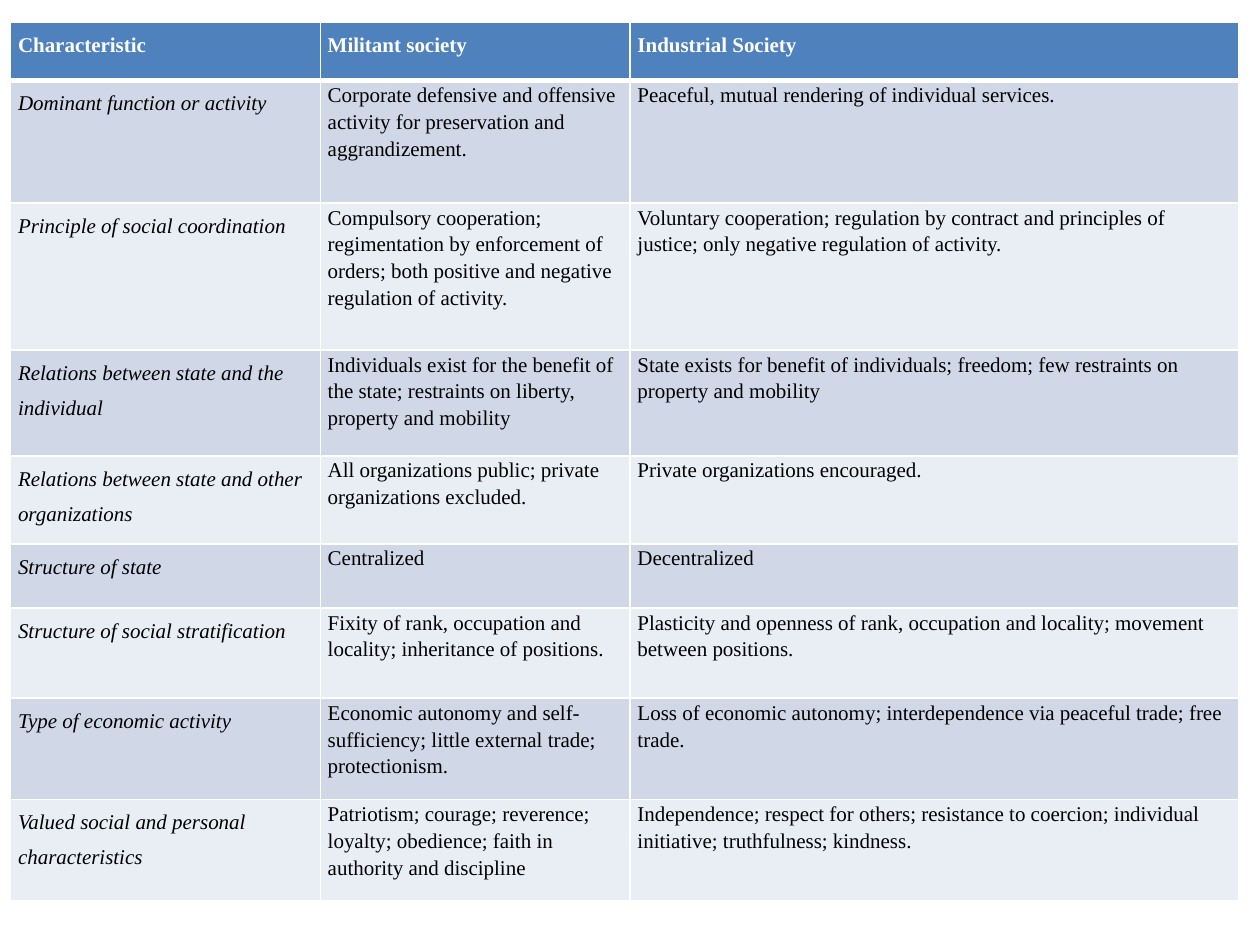
from dataclasses import dataclass

from lxml import etree
from pptx import Presentation
from pptx.dml.color import RGBColor
from pptx.oxml.ns import qn
from pptx.util import Pt

HEADER = ("Characteristic", "Militant society", "Industrial Society")
ROWS = [
    ("Dominant function or activity",
     "Corporate defensive and offensive activity for preservation and aggrandizement.",
     "Peaceful, mutual rendering of individual services."),
    ("Principle of social coordination",
     "Compulsory cooperation; regimentation by enforcement of orders; "
     "both positive and negative regulation of activity.",
     "Voluntary cooperation; regulation by contract and principles of justice; "
     "only negative regulation of activity."),
    ("Relations between state and the individual",
     "Individuals exist for the benefit of the state; restraints on liberty, property and mobility",
     "State exists for benefit of individuals; freedom; few restraints on property and mobility"),
    ("Relations between state and other organizations",
     "All organizations public; private organizations excluded.",
     "Private organizations encouraged."),
    ("Structure of state", "Centralized", "Decentralized"),
    ("Structure of social stratification",
     "Fixity of rank, occupation and locality; inheritance of positions.",
     "Plasticity and openness of rank, occupation and locality; movement between positions."),
    ("Type of economic activity",
     "Economic autonomy and self-sufficiency; little external trade; protectionism.",
     "Loss of economic autonomy; interdependence via peaceful trade; free trade."),
    ("Valued social and personal characteristics",
     "Patriotism; courage; reverence; loyalty; obedience; faith in authority and discipline",
     "Independence; respect for others; resistance to coercion; individual initiative; "
     "truthfulness; kindness."),
]
LEFT, TOP = 6, 12.5
COLUMN_WIDTHS = (177, 177, 348)
ROW_HEIGHTS = (33.5, 70, 84, 60.5, 50.3, 36.6, 51.6, 58, 58)


@dataclass(frozen=True)
class Theme:
    font: str = "Times New Roman"
    size: float = 12
    header_fill: str = "4F81BD"
    bands: tuple = ("D0D8E8", "E9EDF4")
    header_text: str = "FFFFFF"
    body_text: str = "000000"
    border: str = "FFFFFF"
    border_width: float = 1
    header_rule: float = 3
    side_margin: float = 4.3
    label_spacing: float = 1.5
    body_spacing: float = 1.15
    space_after: float = 10


THEME = Theme()


def set_borders(cell, bottom_width):
    """Put the four border lines ahead of the cell's fill, as the schema requires."""
    properties = cell._tc.get_or_add_tcPr()
    widths = {"a:lnL": THEME.border_width, "a:lnR": THEME.border_width,
              "a:lnT": THEME.border_width, "a:lnB": bottom_width}
    for position, (tag, width) in enumerate(widths.items()):
        line = etree.Element(qn(tag), w=str(Pt(width)))
        fill = etree.SubElement(line, qn("a:solidFill"))
        etree.SubElement(fill, qn("a:srgbClr"), val=THEME.border)
        properties.insert(position, line)


def fill_cell(cell, content, row, column):
    is_header, is_label = row == 0, column == 0
    fill_color = THEME.header_fill if is_header else THEME.bands[(row - 1) % 2]
    cell.fill.solid()
    cell.fill.fore_color.rgb = RGBColor.from_string(fill_color)
    cell.margin_left = cell.margin_right = Pt(THEME.side_margin)
    cell.margin_top = cell.margin_bottom = 0
    set_borders(cell, THEME.header_rule if is_header else THEME.border_width)

    paragraph = cell.text_frame.paragraphs[0]
    paragraph.line_spacing = THEME.label_spacing if is_header or is_label else THEME.body_spacing
    paragraph.space_after = Pt(THEME.space_after)
    run = paragraph.add_run()
    run.text = content
    run.font.name = THEME.font
    run.font.size = Pt(THEME.size)
    run.font.bold = is_header
    run.font.italic = is_label and not is_header
    run.font.color.rgb = RGBColor.from_string(
        THEME.header_text if is_header else THEME.body_text)


def main():
    presentation = Presentation()
    presentation.slide_width, presentation.slide_height = Pt(720), Pt(540)
    slide = presentation.slides.add_slide(presentation.slide_layouts[6])

    content = [HEADER, *ROWS]
    table = slide.shapes.add_table(
        len(content), len(HEADER), Pt(LEFT), Pt(TOP),
        Pt(sum(COLUMN_WIDTHS)), Pt(sum(ROW_HEIGHTS))).table
    for column, width in zip(table.columns, COLUMN_WIDTHS):
        column.width = Pt(width)
    for row, height in zip(table.rows, ROW_HEIGHTS):
        row.height = Pt(height)
    for row, texts in enumerate(content):
        for column, cell_text in enumerate(texts):
            fill_cell(table.cell(row, column), cell_text, row, column)

    presentation.save("out.pptx")


if __name__ == "__main__":
    main()
